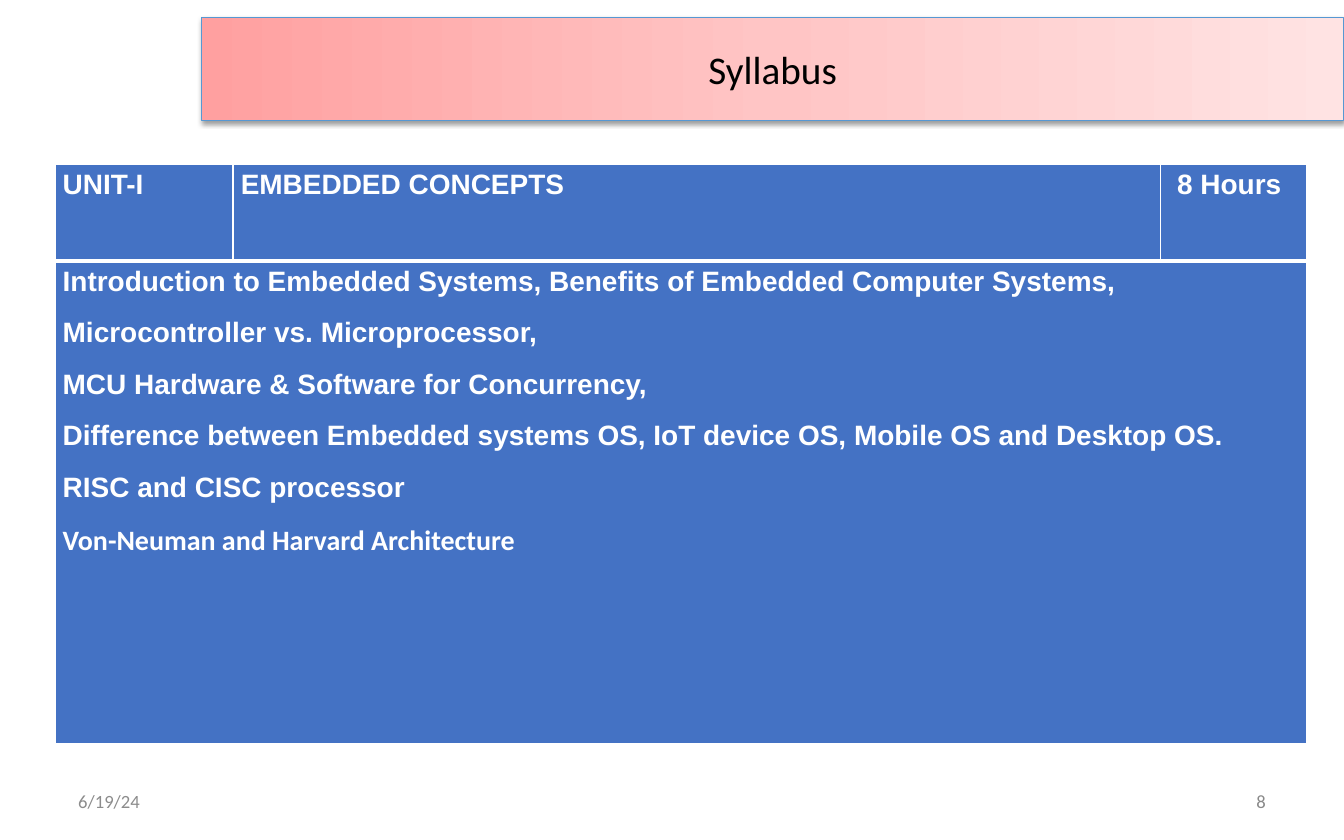
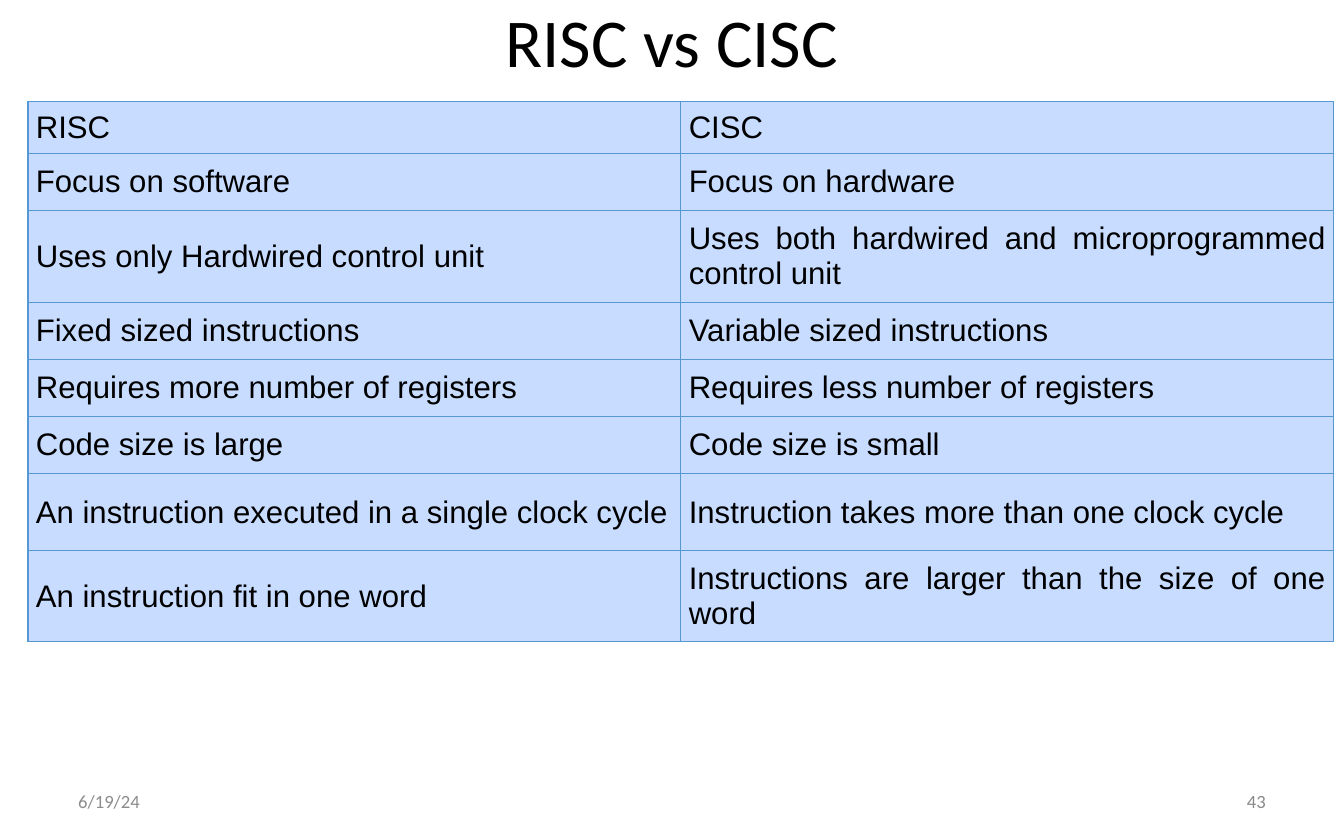
from pptx import Presentation
from pptx.dml.color import RGBColor
from pptx.enum.shapes import MSO_SHAPE
from pptx.enum.text import MSO_ANCHOR, PP_ALIGN
from pptx.oxml import parse_xml
from pptx.oxml.ns import nsdecls, qn
from pptx.util import Inches, Pt

LEFT, CENTER, RIGHT, JUSTIFY = (
    PP_ALIGN.LEFT, PP_ALIGN.CENTER, PP_ALIGN.RIGHT, PP_ALIGN.JUSTIFY)
TOP, MIDDLE = MSO_ANCHOR.TOP, MSO_ANCHOR.MIDDLE
RECTANGLE = MSO_SHAPE.RECTANGLE

COLORS = {
    "black": "000000", "white": "FFFFFF",
    "date": "8C8C8C", "number": "898989",
    "unit": "4472C4", "comparison": "C7DCFF", "line": "5698D3",
    "band_start": "FFA0A0", "band_middle": "FFC5C5", "band_end": "FFE3E3",
}
SLIDE_WIDTH, SLIDE_HEIGHT = 12, 7.5
DATE = "6/19/24"

# Text styles: font, colour and paragraph format
DATE_STYLE = {"font": {"name": "Calibri", "size": Pt(12)}, "color": "date",
              "paragraph": {"alignment": LEFT}}
NUMBER_STYLE = {**DATE_STYLE, "color": "number",
                "paragraph": {"alignment": RIGHT}}
TITLE_STYLE = {"font": {"name": "Calibri", "size": Pt(44)}, "color": "black",
               "paragraph": {"alignment": CENTER}}
BAND_STYLE = {**TITLE_STYLE, "font": {"name": "Calibri", "size": Pt(25.2)}}
UNIT_STYLE = {"font": {"name": "Arial", "size": Pt(18), "bold": True},
              "color": "white",
              "paragraph": {"alignment": LEFT, "line_spacing": 1.15,
                            "space_after": Pt(10)}}
TOPIC_STYLE = {**UNIT_STYLE,
               "paragraph": {**UNIT_STYLE["paragraph"], "alignment": JUSTIFY}}
COMPARISON_STYLE = {"font": {"name": "Arial", "size": Pt(20)},
                    "color": "black", "paragraph": {"alignment": JUSTIFY}}

UNIT_HEADINGS = ["UNIT-I", "EMBEDDED CONCEPTS", "8 Hours"]
TOPICS = [
    "Introduction to Embedded Systems, Benefits of Embedded Computer Systems,",
    "Microcontroller vs. Microprocessor,",
    "MCU Hardware & Software for Concurrency,",
    "Difference between Embedded systems OS, IoT device OS, Mobile OS and "
    "Desktop OS.",
    "RISC and CISC processor",
    "Von-Neuman and Harvard Architecture",
]
# Row height, RISC, CISC
COMPARISON = [
    (0.46, "RISC", "CISC"),
    (0.51, "Focus on software", "Focus on hardware"),
    (0.82, "Uses only Hardwired control unit",
     "Uses both hardwired and microprogrammed control unit"),
    (0.51, "Fixed sized instructions", "Variable sized instructions"),
    (0.51, "Requires more number of registers",
     "Requires less number of registers"),
    (0.51, "Code size is large", "Code size is small"),
    (0.69, "An instruction executed in a single clock cycle",
     "Instruction takes more than one clock cycle"),
    (0.81, "An instruction fit in one word",
     "Instructions are larger than the size of one word"),
]


def rgb(color):
    return RGBColor.from_string(COLORS[color])


def set_all(target, values):
    for name, value in values.items():
        setattr(target, name, value)


def write(frame, lines, style):
    for index, line in enumerate(lines):
        paragraph = frame.add_paragraph() if index else frame.paragraphs[0]
        set_all(paragraph, style["paragraph"])
        run = paragraph.add_run()
        run.text = line
        set_all(run.font, style["font"])
        run.font.color.rgb = rgb(style["color"])


def add_text(slide, box, text, style):
    frame = slide.shapes.add_textbox(*map(Inches, box)).text_frame
    set_all(frame, {"word_wrap": True, "vertical_anchor": MIDDLE})
    write(frame, [text], style)


def add_footer(slide, box, number):
    left, top, width, height = box
    part = 2.8
    add_text(slide, (left, top, part, height), DATE, DATE_STYLE)
    add_text(slide, (left + width - part, top, part, height), str(number),
             NUMBER_STYLE)


def add_title_band(slide, box, text):
    band = slide.shapes.add_shape(RECTANGLE, *map(Inches, box))
    band.line.color.rgb = rgb("line")
    band.line.width = Pt(0.75)

    # Three-stop gradient from left to right
    band.fill.gradient()
    band.fill.gradient_angle = 0
    stops = band.element.spPr.find(".//" + qn("a:gsLst"))
    for stop in list(stops):
        stops.remove(stop)
    for position, color in ((0, "band_start"), (50, "band_middle"),
                            (100, "band_end")):
        stops.append(parse_xml(
            f'<a:gs {nsdecls("a")} pos="{position * 1000}">'
            f'<a:srgbClr val="{COLORS[color]}"/></a:gs>'))

    # Soft shadow below the band
    band.shadow.inherit = False
    band.element.spPr.find(qn("a:effectLst")).append(parse_xml(
        f'<a:outerShdw {nsdecls("a")} blurRad="{Pt(3.1)}" dist="{Pt(1.6)}" '
        f'dir="5400000" rotWithShape="0"><a:srgbClr val="{COLORS["black"]}">'
        '<a:alpha val="38000"/></a:srgbClr></a:outerShdw>'))

    frame = band.text_frame
    set_all(frame, {"word_wrap": True, "vertical_anchor": MIDDLE,
                    "margin_top": Inches(0.04),
                    "margin_bottom": Inches(0.06)})
    write(frame, [text], BAND_STYLE)


def add_plain_table(slide, box, column_widths, row_heights):
    table = slide.shapes.add_table(
        len(row_heights), len(column_widths), *map(Inches, box)).table
    set_all(table, {"first_row": False, "horz_banding": False})
    for column, width in zip(table.columns, column_widths):
        column.width = Inches(width)
    for row, height in zip(table.rows, row_heights):
        row.height = Inches(height)
    return table


def format_cell(cell, fill, line, widths, side_margin, end_margin, anchor):
    """Set fill, margins and borders; widths go left, right, top, bottom."""
    set_all(cell, {"margin_left": Inches(side_margin),
                   "margin_right": Inches(side_margin),
                   "margin_top": Inches(end_margin),
                   "margin_bottom": Inches(end_margin),
                   "vertical_anchor": anchor})
    cell.fill.solid()
    cell.fill.fore_color.rgb = rgb(fill)
    properties = cell._tc.get_or_add_tcPr()
    for index, (side, width) in enumerate(zip("LRTB", widths)):
        properties.insert(index, parse_xml(
            f'<a:ln{side} {nsdecls("a")} w="{Pt(width)}"><a:solidFill>'
            f'<a:srgbClr val="{COLORS[line]}"/></a:solidFill></a:ln{side}>'))


def add_unit_table(slide, box):
    table = add_plain_table(slide, box, [1.59, 8.28, 1.31], [0.86, 4.31])
    for row, widths in enumerate([(1, 1, 1, 3), (1, 1, 3, 1)]):
        for column in range(len(UNIT_HEADINGS)):
            format_cell(table.cell(row, column), "unit", "white", widths,
                        0.07, 0, TOP)

    # Unit, subject and hours
    for column, heading in enumerate(UNIT_HEADINGS):
        write(table.cell(0, column).text_frame, [heading], UNIT_STYLE)
    table.cell(0, 2).margin_left = Inches(0.15)

    # Topics across the full width, the last one in Calibri
    topics = table.cell(1, 0)
    topics.merge(table.cell(1, 2))
    write(topics.text_frame, TOPICS, TOPIC_STYLE)
    topics.text_frame.paragraphs[-1].runs[0].font.name = "Calibri"


def add_comparison_table(slide, box):
    heights = [height for height, *_ in COMPARISON]
    table = add_plain_table(slide, box, [box[2] / 2] * 2, heights)
    for row, (_, *entries) in enumerate(COMPARISON):
        for column, entry in enumerate(entries):
            cell = table.cell(row, column)
            format_cell(cell, "comparison", "line", [0.75] * 4, 0.07,
                        0.06 if row else 0.04, MIDDLE)
            write(cell.text_frame, [entry], COMPARISON_STYLE)


def add_slide(deck, number):
    slide = deck.slides.add_slide(deck.slide_layouts[6])
    add_footer(slide, (0.6, 6.95, 10.8, 0.4), number)
    return slide


def build_syllabus(deck):
    slide = add_slide(deck, 8)
    add_title_band(slide, (1.8, 0.16, 10.2, 0.92), "Syllabus")
    add_unit_table(slide, (0.49, 1.47, 11.18, 5.17))


def build_comparison(deck):
    slide = add_slide(deck, 43)
    add_text(slide, (0.6, 0.05, 10.8, 0.61), "RISC vs CISC", TITLE_STYLE)
    add_comparison_table(slide, (0.25, 0.91, 11.66, 4.82))


def main():
    deck = Presentation()
    deck.slide_width = Inches(SLIDE_WIDTH)
    deck.slide_height = Inches(SLIDE_HEIGHT)
    build_syllabus(deck)
    build_comparison(deck)
    deck.save("out.pptx")


if __name__ == "__main__":
    main()
